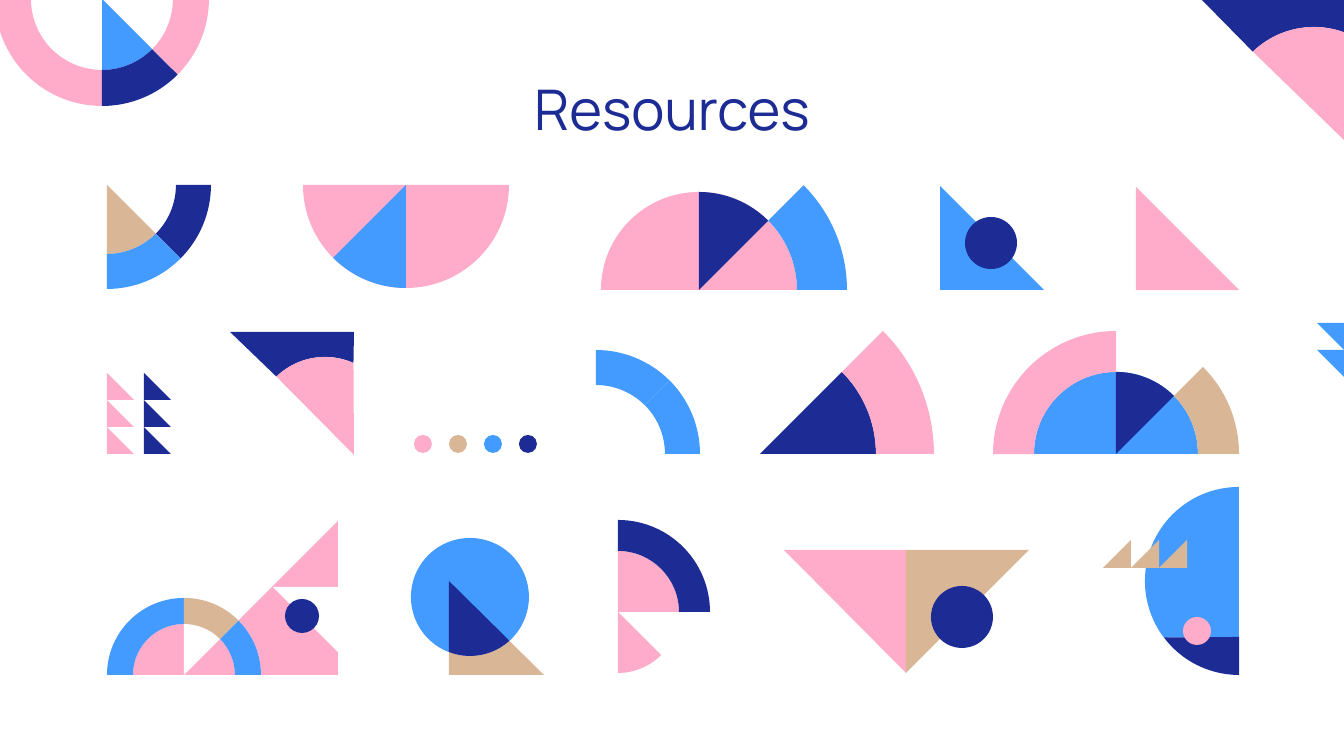
"""Build the Resources slide of geometric ornaments."""
from math import cos, radians, sin, tan

from pptx import Presentation
from pptx.dml.color import RGBColor
from pptx.enum.shapes import MSO_SHAPE
from pptx.enum.text import MSO_ANCHOR, PP_ALIGN
from pptx.oxml.ns import qn
from pptx.oxml.xmlchemy import OxmlElement

OVAL = MSO_SHAPE.OVAL
MIDDLE = MSO_ANCHOR.MIDDLE
CENTER = PP_ALIGN.CENTER
SCALE = 914400 / 134.4
FONT = "Manrope"
NAVY, BLUE, PINK, TAN, WHITE = "1D2B95", "449BFF", "FFACCA", "D9B695", "FFFFFF"


def px(value):
    return round(value * SCALE)


def color(code):
    return RGBColor.from_string(code)


def arc(x, y, r, start, end):
    low, high = sorted((start, end))
    cuts = [low] + [q for q in range(-90, 361, 90) if low < q < high] + [high]
    if start > end:
        cuts.reverse()
    spots = [(x + r * cos(radians(start)), y + r * sin(radians(start)))]
    for a, b in zip(map(radians, cuts), map(radians, cuts[1:])):
        k = r * 4 / 3 * tan((b - a) / 4)
        left, top = spots[-1][:2]
        right, base = x + r * cos(b), y + r * sin(b)
        spots.append((right, base, left - k * sin(a), top + k * cos(a),
                      right + k * sin(b), base - k * cos(b)))
    return spots


class Art:
    def __init__(self, deck):
        self.slide = deck.slides.add_slide(deck.slide_layouts[5])
        self.shapes = self.slide.shapes

    def title(self, text, x, y, w, h):
        box = self.shapes.title
        box.left, box.top, box.width, box.height = map(px, (x, y, w, h))
        frame = box.text_frame
        frame.word_wrap = True
        frame.vertical_anchor = MIDDLE
        frame.margin_left = frame.margin_right = px(13)
        frame.margin_top = frame.margin_bottom = px(13)
        line = frame.paragraphs[0]
        line.alignment = CENTER
        run = line.add_run()
        run.text = text
        run.font.name = FONT
        run.font.size = 30 * 12700
        run.font.color.rgb = color(NAVY)

    def paint(self, shape, fill):
        shape.shadow.inherit = False
        shape.fill.solid()
        shape.fill.fore_color.rgb = color(fill)
        shape.line.fill.background()

    def form(self, spots, fill):
        first, *rest = [tuple(map(px, spot)) for spot in spots]
        pen = self.shapes.build_freeform(*first[:2], scale=1.0)
        pen.add_line_segments([spot[:2] for spot in rest], close=True)
        shape = pen.convert_to_shape()
        lines = list(shape.element.iter(qn("a:lnTo")))
        for line, spot in zip(lines, rest):
            if len(spot) > 2:
                line.tag = qn("a:cubicBezTo")
                for i in (0, 1):
                    knob = OxmlElement("a:pt")
                    knob.set("x", str(spot[2 + 2 * i] - shape.left))
                    knob.set("y", str(spot[3 + 2 * i] - shape.top))
                    line.insert(i, knob)
        self.paint(shape, fill)

    def wedge(self, x, y, r, start, end, fill, hole=0):
        inner = arc(x, y, hole, end, start) if hole else [(x, y)]
        self.form(arc(x, y, r, start, end) + inner, fill)

    def angle(self, x, y, w, h, fill):
        self.form([(x, y), (x + w, y), (x, y + h)], fill)

    def dot(self, x, y, r, fill):
        self.paint(self.shapes.add_shape(OVAL, px(x - r), px(y - r), px(2 * r), px(2 * r)), fill)

    def corner(self, left, top, right, tip, x, y, r, start, end):
        self.form([(left, top), (right, top)] + arc(x, y, r, end, start), NAVY)
        self.form(arc(x, y, r, start, end) + [(right, tip)], PINK)


def edges(art):
    art.wedge(102, -1, 71, 45, 90, BLUE)
    art.wedge(102, -1, 107, 0, 45, PINK, 71)
    art.wedge(102, -1, 107, 90, 180, PINK, 71)
    art.wedge(102, -1, 107, 45, 90, NAVY, 71)
    art.corner(1202, 0, 1344, 140, 1314, 115, 88, 226, 290)
    for y in (323, 350):
        art.angle(1344, y, -27, 27, BLUE)


def upper(art):
    art.wedge(107, 185, 69, 45, 90, TAN)
    art.wedge(107, 185, 104, 0, 45, NAVY, 69)
    art.wedge(107, 185, 104, 45, 90, BLUE, 69)

    art.wedge(406, 185, 103, 0, 180, PINK)
    art.wedge(406, 185, 103, 90, 135, BLUE)

    art.wedge(699, 290, 98, 180, 360, PINK)
    art.wedge(699, 290, 98, 270, 315, NAVY)
    art.wedge(699, 290, 148, 315, 360, BLUE, 98)

    art.angle(940, 290, 104, -104, BLUE)
    art.dot(991, 243, 26, NAVY)
    art.angle(1136, 290, 103, -103, PINK)


def center(art):
    for x, fill in ((107, PINK), (144, NAVY)):
        for row in range(3):
            art.angle(x, 400 + 27 * row, 27, -27, fill)

    art.corner(230, 332, 354, 455, 325, 427, 70, 226, 294)

    for i, fill in enumerate((PINK, TAN, BLUE, NAVY)):
        art.dot(423 + 35 * i, 444, 9, fill)

    for start in (270, 315):
        art.wedge(596, 454, 104, start, start + 45, BLUE, 69)

    art.wedge(760, 454, 116, 315, 360, NAVY)
    art.wedge(760, 454, 174, 315, 360, PINK, 116)

    art.wedge(1116, 454, 82, 180, 360, BLUE)
    art.wedge(1116, 454, 82, 270, 315, NAVY)
    art.wedge(1116, 454, 123, 315, 360, TAN, 82)
    art.wedge(1116, 454, 123, 180, 270, PINK, 82)


def lower(art):
    art.wedge(184, 675, 51, 180, 360, PINK)
    art.form([(338, 521)] + arc(184, 675, 77, 315, 360) + [(338, 675)], PINK)
    art.wedge(184, 675, 51, 270, 315, WHITE)
    for start, end, fill in ((315, 360, BLUE), (180, 270, BLUE), (270, 315, TAN)):
        art.wedge(184, 675, 77, start, end, fill, 51)
    art.angle(338, 587, -65, 65, WHITE)
    art.dot(302, 616, 17, NAVY)

    art.dot(470, 597, 59, BLUE)
    art.form(arc(470, 597, 59, 48, 111) + [(449, 675), (544, 675)], TAN)
    art.form(arc(470, 597, 59, 48, 111) + [(449, 581)], NAVY)

    art.wedge(618, 612, 61, 270, 360, PINK)
    art.wedge(618, 612, 61, 45, 90, PINK)
    art.wedge(618, 612, 92, 270, 360, NAVY, 61)

    art.angle(906, 550, -122, 123, PINK)
    art.angle(906, 550, 123, 123, TAN)
    art.dot(962, 617, 31, NAVY)

    art.form(arc(1239, 581, 94, 143, 270) + [(1239, 637)], BLUE)
    art.form(arc(1239, 581, 94, 90, 143) + [(1239, 637)], NAVY)
    for i in range(3):
        art.angle(1131 + 28 * i, 568, -28, -28, TAN)
    art.dot(1197, 631, 14, PINK)


def main():
    deck = Presentation()
    deck.slide_width, deck.slide_height = px(1344), px(756)
    art = Art(deck)
    edges(art)
    art.title("Resources", 105, 66, 1134, 84)
    upper(art)
    center(art)
    lower(art)
    deck.save("out.pptx")


if __name__ == "__main__":
    main()
